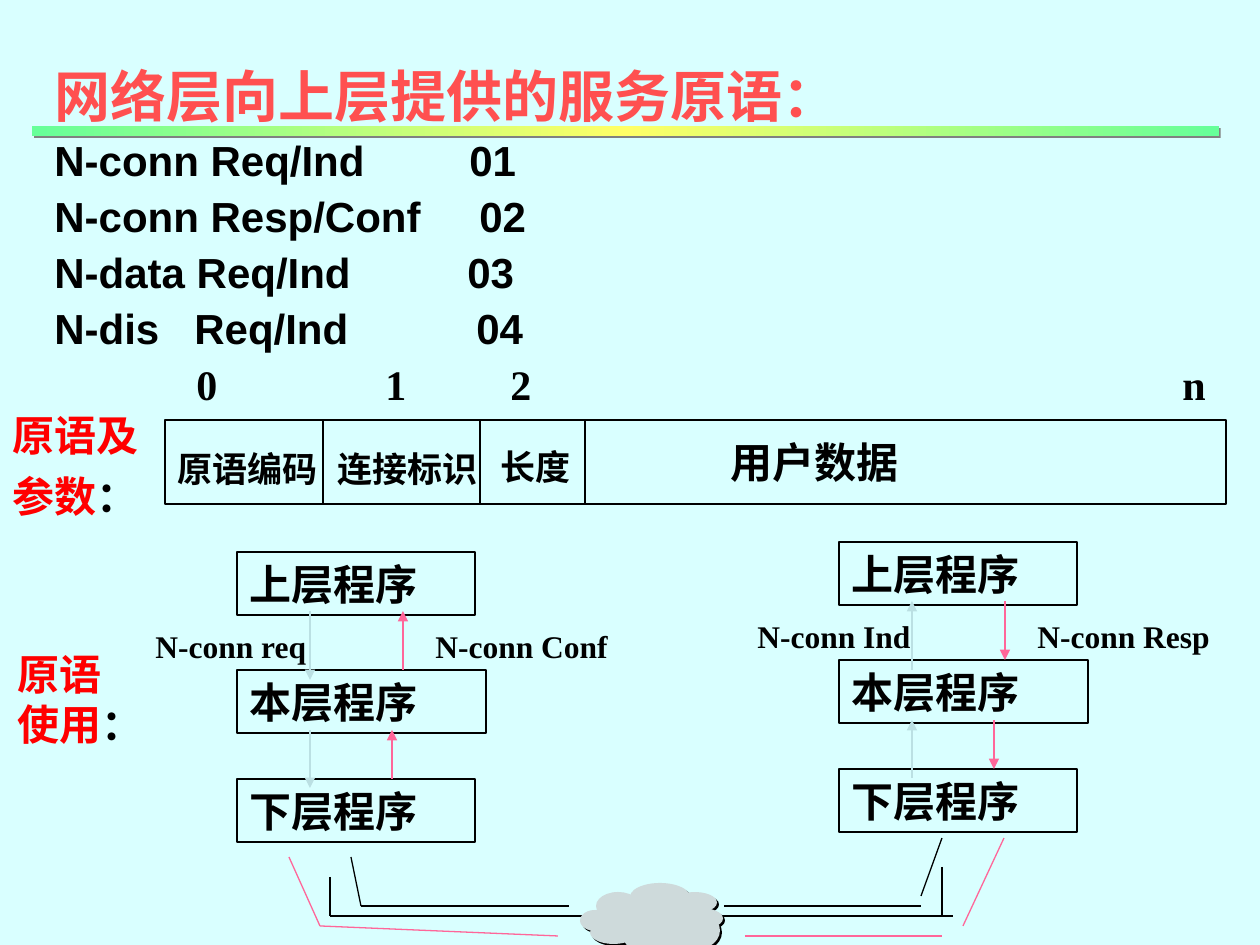
from copy import deepcopy

from lxml import etree
from pptx import Presentation
from pptx import util as u
from pptx.dml.color import RGBColor
from pptx.enum import shapes, text
from pptx.oxml.ns import qn

PX = u.Inches(1) / 126
BLACK, RED, PINK, PALE, GREY = "000000", "FF0000", "FF6699", "BBE0E3", "CEDADB"

TITLE = "网络层向上层提供的服务原语："
PRIMITIVES = [
    ("N-conn Req/Ind\t01", (415,)),
    ("N-conn Resp/Conf\t02", (425,)),
    ("N-data Req/Ind\t03", (413,)),
    ("N-dis\tReq/Ind\t04", (140, 422)),
]
BAR_STOPS = [(0, "66FF99"), (0.5, "FFFF66"), (1, "66FF99")]

RECORD = (165, 420, 1061, 84)
DIVIDERS = [323, 480, 585]
FIELDS = [
    ("原语编码", 165, 441, 175, 20),
    ("连接标识", 325, 441, 175, 20),
    ("长度", 488, 439, 105, 20),
    ("用户数据", 718, 430, 203, 24),
]
OFFSETS = ("\t0\t1\t2\tn", (32, 221, 346, 1018))
SIDE_LABELS = [
    (0, 403, 125, 6, "原语及", "参数"),
    (5, 642, 113, 0, "原语", "使用"),
]

LAYERS = [("上层程序", 552, 238), ("本层程序", 670, 249), ("下层程序", 779, 238)]
ARROWS = [
    (403, 670, 611, PINK),
    (310, 611, 680, PALE),
    (392, 779, 730, PINK),
    (310, 730, 788, PALE),
]
STATIONS = [
    (0, 0, "tailEnd", ("N-conn req", "N-conn Conf")),
    (602, -10, "headEnd", ("N-conn Ind", "N-conn Resp")),
]
CALL_X = [143, 423]

LINK = [(330, 877, 330, 916), (330, 916, 953, 916), (942, 867, 942, 916)]
CLOUD = [
    (630, 883, 60, 28), (596, 892, 44, 28), (580, 910, 30, 21),
    (590, 921, 47, 23), (624, 924, 73, 30), (673, 892, 44, 21),
    (679, 908, 44, 21), (675, 912, 45, 37), (606, 900, 93, 37),
]
PATHS = [
    (BLACK, [(351, 857, 361, 906), (361, 906, 569, 906),
             (724, 906, 921, 906), (921, 896, 942, 838)]),
    (PINK, [(963, 926, 1004, 838), (745, 936, 942, 936),
            (320, 926, 558, 936), (289, 857, 320, 926)]),
]


def px(*values):
    return [round(v * PX) for v in values]


def rgb(value):
    return RGBColor.from_string(value)


def write(p, s, font="Times New Roman", size=24, color=BLACK, before=0,
          spacing=None, tabs=()):
    r = p.add_run()
    r.text = s
    r.font.name, r.font.size, r.font.bold = font, u.Pt(size), True
    r.font.color.rgb = rgb(color)
    p.alignment = text.PP_ALIGN.LEFT
    if before:
        p.space_before = u.Pt(before)
    if spacing:
        p.line_spacing = spacing
    if tabs:
        stops = etree.SubElement(p._p.get_or_add_pPr(), qn("a:tabLst"))
        for pos in px(*tabs):
            etree.SubElement(stops, qn("a:tab"), pos=str(pos), algn="l")


def box(x, y, w, h, wrap=True):
    tf = slide.shapes.add_textbox(*px(x, y, w, h)).text_frame
    tf.word_wrap = wrap
    return tf


def shape(kind, bounds, fill=None, line=None):
    sp = slide.shapes.add_shape(kind, *px(*bounds))
    sp.shadow.inherit = False
    if fill:
        sp.fill.solid()
        sp.fill.fore_color.rgb = rgb(fill)
    else:
        sp.fill.background()
    if line:
        sp.line.color.rgb = rgb(line)
        sp.line.width = u.Pt(0.75)
    else:
        sp.line.fill.background()
    return sp


def connect(ends, color=BLACK, arrow=None):
    c = slide.shapes.add_connector(shapes.MSO_CONNECTOR.STRAIGHT, *px(*ends))
    c.line.color.rgb = rgb(color)
    c.line.width = u.Pt(0.75)
    if arrow:
        etree.SubElement(c.line._get_or_add_ln(), qn("a:" + arrow), type="triangle")
    etree.SubElement(c._element.spPr, qn("a:effectLst"))


def gradient_bar():
    sp = shape(RECT, (32, 126, 1187, 10))
    sp.fill.gradient()
    sp.fill.gradient_angle = 0
    stops = sp._element.spPr.find(".//" + qn("a:gsLst"))
    stops.append(deepcopy(stops[0]))
    for stop, (pos, color) in zip(sp.fill.gradient_stops, BAR_STOPS):
        stop.position = pos
        stop.color.rgb = rgb(color)
    effects = sp._element.spPr.find(qn("a:effectLst"))
    shadow = etree.SubElement(effects, qn("a:outerShdw"), dist=str(u.Pt(1.4)),
                              dir="2700000", algn="ctr", rotWithShape="0")
    etree.SubElement(shadow, qn("a:srgbClr"), val="808080")


def station(dx, dy, arrow, calls):
    for name, y, w in LAYERS:
        sp = shape(RECT, (237 + dx, y + dy, w, 63), line=BLACK)
        sp.text_frame.word_wrap = True
        sp.text_frame.vertical_anchor = text.MSO_ANCHOR.TOP
        write(sp.text_frame.paragraphs[0], name)
    for x, y1, y2, color in ARROWS:
        connect((x + dx, y1 + dy, x + dx, y2 + dy), color, arrow)
    for x, call in zip(CALL_X, calls):
        write(box(x + dx, 621 + dy, 208, 50).paragraphs[0], call, size=18)


RECT, OVAL = shapes.MSO_SHAPE.RECTANGLE, shapes.MSO_SHAPE.OVAL
prs = Presentation()
prs.slide_width, prs.slide_height = px(1260, 945)
slide = prs.slides.add_slide(prs.slide_layouts[6])
slide.background.fill.solid()
slide.background.fill.fore_color.rgb = rgb("D9FFFF")

tf = box(42, 63, 1187, 315)
write(tf.paragraphs[0], TITLE, font="Arial", size=32, color="FF5050", spacing=0.9)
for line, tabs in PRIMITIVES:
    write(tf.add_paragraph(), line, font="Arial", before=6, spacing=0.9, tabs=tabs)
gradient_bar()

shape(RECT, RECORD, line=BLACK)
for x in DIVIDERS:
    connect((x, RECORD[1], x, RECORD[1] + RECORD[3]))
for name, x, y, w, size in FIELDS:
    write(box(x, y, w, 55).paragraphs[0], name, size=size)
write(box(152, 352, 1074, 63).paragraphs[0], OFFSETS[0], tabs=OFFSETS[1])

for x, y, h, before, first, second in SIDE_LABELS:
    tf = box(x, y, 151, h, wrap=False)
    write(tf.paragraphs[0], first, color=RED)
    p = tf.add_paragraph()
    write(p, second, color=RED, before=before)
    write(p, "：")

for dx, dy, arrow, calls in STATIONS:
    station(dx, dy, arrow, calls)

for ends in LINK:
    connect(ends)
for shift, color in [(2, BLACK), (0, GREY)]:
    for x, y, w, h in CLOUD:
        shape(OVAL, (x + shift, y + shift, w, h), fill=color)
for color, segments in PATHS:
    for ends in segments:
        connect(ends, color)

prs.save("out.pptx")
